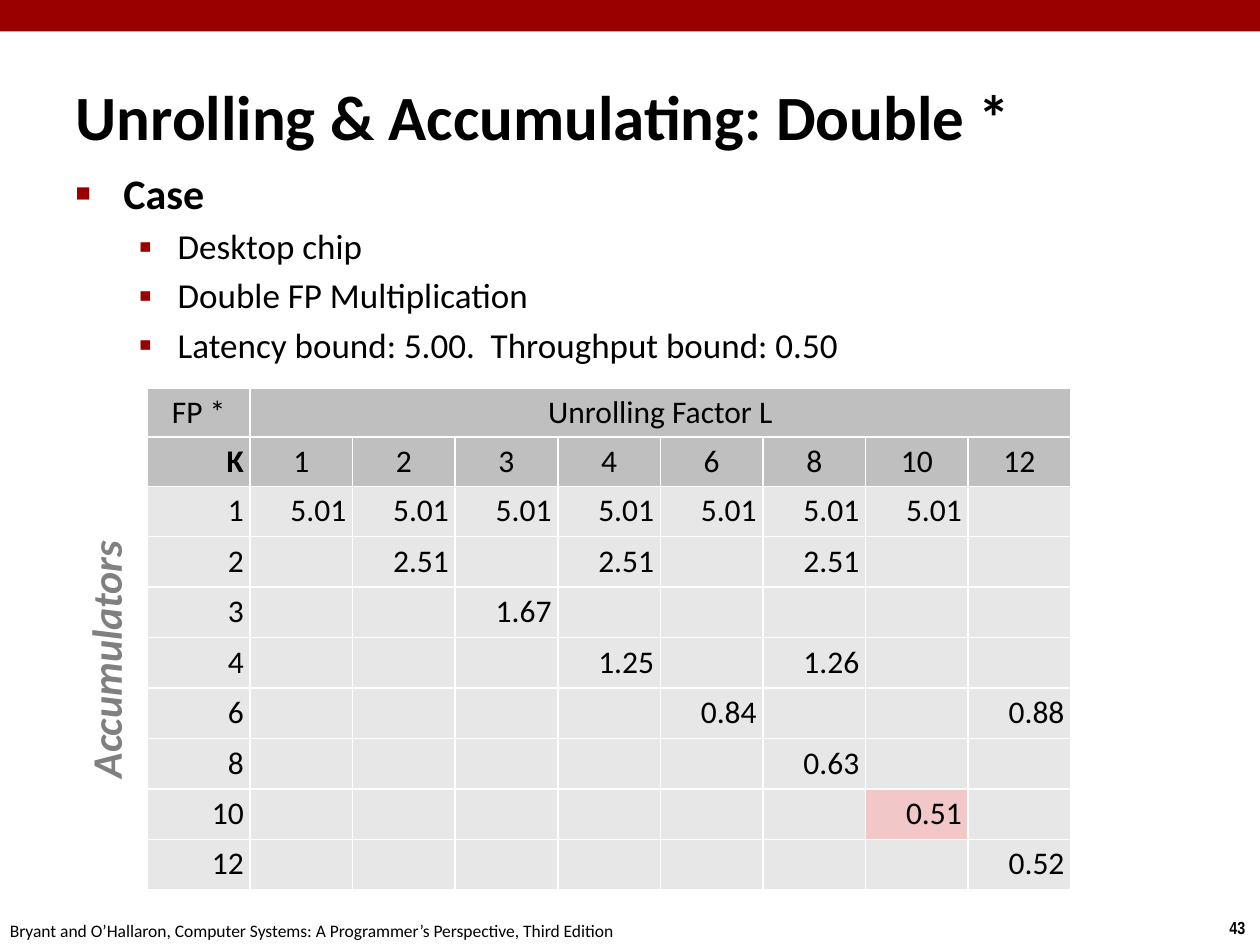
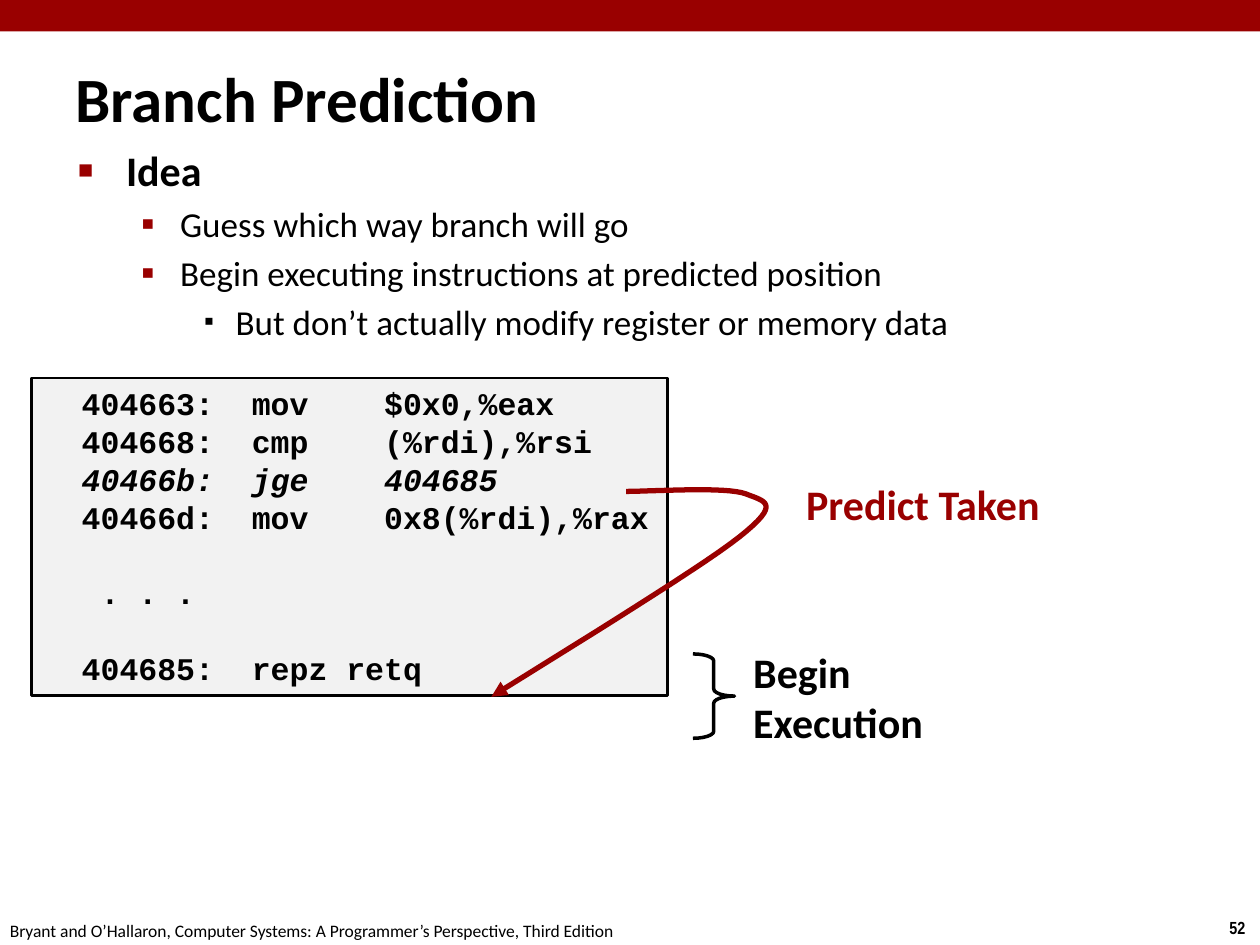
from dataclasses import dataclass

from lxml import etree
from pptx import Presentation
from pptx.dml.color import RGBColor
from pptx.enum.shapes import MSO_SHAPE
from pptx.enum.text import MSO_ANCHOR, MSO_AUTO_SIZE, PP_ALIGN
from pptx.oxml.ns import qn
from pptx.util import Inches, Pt

RED, BLACK, WHITE = "990000", "000000", "FFFFFF"
GRAY, HEAD_FILL, CELL_FILL = "808080", "BFBFBF", "E7E7E7"
BEST_FILL, CODE_FILL = "F1C7C7", "F2F2F2"
SANS, NARROW, MONO = "Calibri", "Arial Narrow", "Courier New"
FOOTER = "Bryant and O’Hallaron, Computer Systems: A Programmer’s Perspective, Third Edition"


@dataclass(frozen=True)
class Box:
    x: float
    y: float
    w: float
    h: float

    def lengths(self) -> tuple:
        return Inches(self.x), Inches(self.y), Inches(self.w), Inches(self.h)


@dataclass(frozen=True)
class Style:
    size: float
    font: str = SANS
    color: str = BLACK
    bold: bool = False
    italic: bool = False


@dataclass(frozen=True)
class Level:
    style: Style
    margin: float
    hang: float
    char: str
    percent: int
    color: str


@dataclass(frozen=True)
class Label:
    box: Box
    lines: tuple
    style: Style
    rotation: float = 0


@dataclass(frozen=True)
class CodeLine:
    text: str
    italic: bool = False
    gap: bool = False


TITLE = Style(36, bold=True)
LEVELS = (
    Level(Style(24, bold=True), 0.38, 0.38, "■", 60, RED),
    Level(Style(20), 0.81, 0.31, "▪", 110, RED),
    Level(Style(20), 1.25, 0.25, "▪", 80, BLACK),
)

FACTORS = (1, 2, 3, 4, 6, 8, 10, 12)
RESULTS = {
    1: {factor: "5.01" for factor in FACTORS[:-1]},
    2: {2: "2.51", 4: "2.51", 8: "2.51"},
    3: {3: "1.67"},
    4: {4: "1.25", 8: "1.26"},
    6: {6: "0.84", 12: "0.88"},
    8: {8: "0.63"},
    10: {10: "0.51"},
    12: {12: "0.52"},
}
BEST = (10, 10)

CODE = (
    CodeLine("  404663:  mov    $0x0,%eax"),
    CodeLine("  404668:  cmp    (%rdi),%rsi"),
    CodeLine("  40466b:  jge    404685", italic=True),
    CodeLine("  40466d:  mov    0x8(%rdi),%rax"),
    CodeLine("   . . .", gap=True),
    CodeLine("  404685:  repz retq", gap=True),
)
CODE_PITCH = 21.6

JUMP = (
    ((3.9, 5.53), (4.23, 5.32), (5.53, 4.53), (5.87, 4.26)),
    ((5.87, 4.26), (6.21, 3.99), (6.07, 3.98), (5.92, 3.92)),
    ((5.92, 3.92), (5.77, 3.86), (5.17, 3.9), (4.97, 3.9)),
)


def rgb(color: str) -> RGBColor:
    return RGBColor.from_string(color)


def add_run(p, text: str, style: Style) -> None:
    r = p.add_run()
    r.text = text
    f = r.font
    f.size, f.name = Pt(style.size), style.font
    f.bold, f.italic = style.bold, style.italic
    f.color.rgb = rgb(style.color)


def next_paragraph(tf, index: int):
    return tf.add_paragraph() if index else tf.paragraphs[0]


def add_label(slide, label: Label) -> None:
    sp = slide.shapes.add_textbox(*label.box.lengths())
    sp.rotation = label.rotation
    tf = sp.text_frame
    tf.word_wrap = False
    for i, line in enumerate(label.lines):
        add_run(next_paragraph(tf, i), line, label.style)


def add_box(slide, kind, box: Box, fill: str = "", line: str = "", width: float = 1):
    sp = slide.shapes.add_shape(kind, *box.lengths())
    sp.shadow.inherit = False
    if fill:
        sp.fill.solid()
        sp.fill.fore_color.rgb = rgb(fill)
    else:
        sp.fill.background()
    if line:
        sp.line.color.rgb = rgb(line)
        sp.line.width = Pt(width)
    else:
        sp.line.fill.background()
    return sp


def set_bullet(p, level: Level) -> None:
    pPr = p._p.get_or_add_pPr()
    pPr.set("marL", str(Inches(level.margin)))
    pPr.set("indent", str(-Inches(level.hang)))
    color = etree.SubElement(pPr, qn("a:buClr"))
    etree.SubElement(color, qn("a:srgbClr"), val=level.color)
    etree.SubElement(pPr, qn("a:buSzPct"), val=str(level.percent * 1000))
    etree.SubElement(pPr, qn("a:buChar"), char=level.char)


def add_slide(prs, number: int, title: str, title_box: Box, items: tuple, body_box: Box):
    slide = prs.slides.add_slide(prs.slide_layouts[1])
    add_box(slide, MSO_SHAPE.RECTANGLE, Box(0, 0, 10, 0.25), RED)
    add_label(slide, Label(Box(9.66, 7.23, 0.34, 0.27), (str(number),), Style(10, NARROW, bold=True)))
    add_label(slide, Label(Box(-0.02, 7.25, 5.08, 0.27), (FOOTER,), Style(10)))

    head, body = slide.shapes.title, slide.placeholders[1]
    for sp, box in ((head, title_box), (body, body_box)):
        sp.left, sp.top, sp.width, sp.height = box.lengths()
        sp.text_frame.auto_size = MSO_AUTO_SIZE.NONE
    head.text_frame.vertical_anchor = MSO_ANCHOR.MIDDLE
    p = head.text_frame.paragraphs[0]
    p.alignment = PP_ALIGN.LEFT
    add_run(p, title, TITLE)

    for i, (depth, text) in enumerate(items):
        level = LEVELS[depth]
        p = next_paragraph(body.text_frame, i)
        p.level = depth
        p.space_before = Pt(level.style.size * 0.2 if i else 0)
        set_bullet(p, level)
        add_run(p, text, level.style)
    return slide


def set_cell(cell, text: str, fill: str, align=PP_ALIGN.RIGHT, bold: bool = False) -> None:
    cell.margin_left = cell.margin_right = cell.margin_top = cell.margin_bottom = Inches(0.05)
    tcPr = cell._tc.get_or_add_tcPr()
    for side in ("a:lnL", "a:lnR", "a:lnT", "a:lnB"):
        ln = etree.SubElement(tcPr, qn(side), w=str(Pt(1)))
        solid = etree.SubElement(ln, qn("a:solidFill"))
        etree.SubElement(solid, qn("a:srgbClr"), val=WHITE)
    cell.fill.solid()
    cell.fill.fore_color.rgb = rgb(fill)
    if text:
        p = cell.text_frame.paragraphs[0]
        p.alignment, p.line_spacing = align, 0.95
        add_run(p, text, Style(18, bold=bold))


def add_results(slide) -> None:
    rows, cols = len(RESULTS) + 2, len(FACTORS) + 1
    frame = slide.shapes.add_table(rows, cols, *Box(1.17, 3.08, 7.33, 3.98).lengths())
    table = frame.table
    table.first_row = table.horz_banding = False
    for i, row in enumerate(table.rows):
        row.height = Inches(0.39 if i < 2 else 0.4)
    table.cell(0, 1).merge(table.cell(0, cols - 1))

    top = ("FP *", "Unrolling Factor L") + ("",) * (cols - 2)
    for j, text in enumerate(top):
        set_cell(table.cell(0, j), text, HEAD_FILL, PP_ALIGN.CENTER)
    set_cell(table.cell(1, 0), "K", HEAD_FILL, bold=True)
    for j, factor in enumerate(FACTORS, 1):
        set_cell(table.cell(1, j), str(factor), HEAD_FILL, PP_ALIGN.CENTER)
    for i, (k, values) in enumerate(RESULTS.items(), 2):
        set_cell(table.cell(i, 0), str(k), CELL_FILL)
        for j, factor in enumerate(FACTORS, 1):
            fill = BEST_FILL if (k, factor) == BEST else CELL_FILL
            set_cell(table.cell(i, j), values.get(factor, ""), fill)


def add_code(slide) -> None:
    sp = add_box(slide, MSO_SHAPE.RECTANGLE, Box(0.25, 3, 5.05, 2.52), CODE_FILL, BLACK, 1.5)
    tf = sp.text_frame
    tf.word_wrap = True
    tf.vertical_anchor = MSO_ANCHOR.TOP
    for i, line in enumerate(CODE):
        p = next_paragraph(tf, i)
        p.alignment = PP_ALIGN.LEFT
        p.line_spacing = Pt(CODE_PITCH)
        p.space_before = Pt(CODE_PITCH if line.gap else 0)
        add_run(p, line.text, Style(18, MONO, bold=True, italic=line.italic))


def bezier(curve: tuple, t: float) -> tuple:
    weights = ((1 - t) ** 3, 3 * t * (1 - t) ** 2, 3 * t * t * (1 - t), t ** 3)
    x, y = (sum(w * pt[axis] for w, pt in zip(weights, curve)) for axis in (0, 1))
    return Inches(x), Inches(y)


def add_jump(slide, steps: int = 16) -> None:
    points = [bezier(curve, n / steps) for curve in JUMP for n in range(1, steps + 1)]
    builder = slide.shapes.build_freeform(*bezier(JUMP[0], 0))
    builder.add_line_segments(points, close=False)
    sp = builder.convert_to_shape()
    sp.shadow.inherit = False
    sp.fill.background()
    sp.line.color.rgb = rgb(RED)
    sp.line.width = Pt(3)
    etree.SubElement(sp.line._get_or_add_ln(), qn("a:headEnd"), type="triangle")


def build_unrolling(prs) -> None:
    items = (
        (0, "Case"),
        (1, "Desktop chip"),
        (1, "Double FP Multiplication"),
        (1, "Latency bound: 5.00.  Throughput bound: 0.50"),
    )
    slide = add_slide(prs, 43, "Unrolling & Accumulating: Double *", Box(0.5, 0.5, 8.3, 0.83),
                      items, Box(0.5, 1.28, 9.09, 1.55))
    add_results(slide)
    add_label(slide, Label(Box(-0.22, 4.97, 2.11, 0.5), ("Accumulators",),
                           Style(24, color=GRAY, bold=True, italic=True), 270))


def build_prediction(prs) -> None:
    items = (
        (0, "Idea"),
        (1, "Guess which way branch will go"),
        (1, "Begin executing instructions at predicted position"),
        (2, "But don’t actually modify register or memory data"),
    )
    slide = add_slide(prs, 52, "Branch Prediction", Box(0.5, 0.46, 6.16, 0.63),
                      items, Box(0.52, 1.1, 9.09, 2.24))
    add_label(slide, Label(Box(6.3, 3.75, 2.07, 0.5), ("Predict Taken",), Style(24, color=RED, bold=True)))
    brace = add_box(slide, MSO_SHAPE.RIGHT_BRACE, Box(5.5, 5.19, 0.33, 0.67), line=BLACK, width=2)
    brace.adjustments[0] = 0.17
    add_label(slide, Label(Box(5.88, 5.08, 1.56, 0.91), ("Begin", "Execution"), Style(24, bold=True)))
    add_code(slide)
    add_jump(slide)


def main() -> None:
    prs = Presentation()
    prs.slide_width, prs.slide_height = Inches(10), Inches(7.5)
    build_unrolling(prs)
    build_prediction(prs)
    prs.save("out.pptx")


if __name__ == "__main__":
    main()
